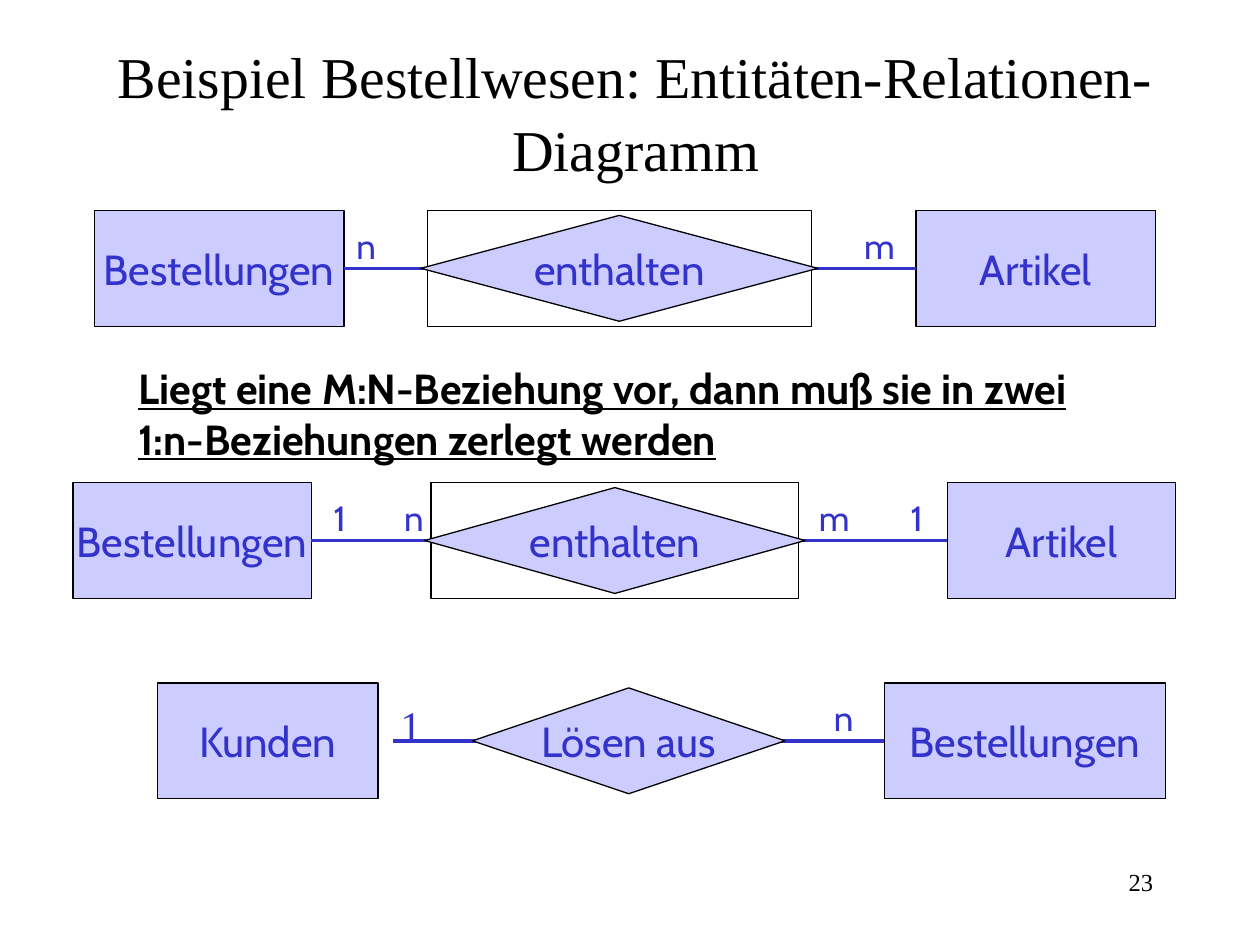
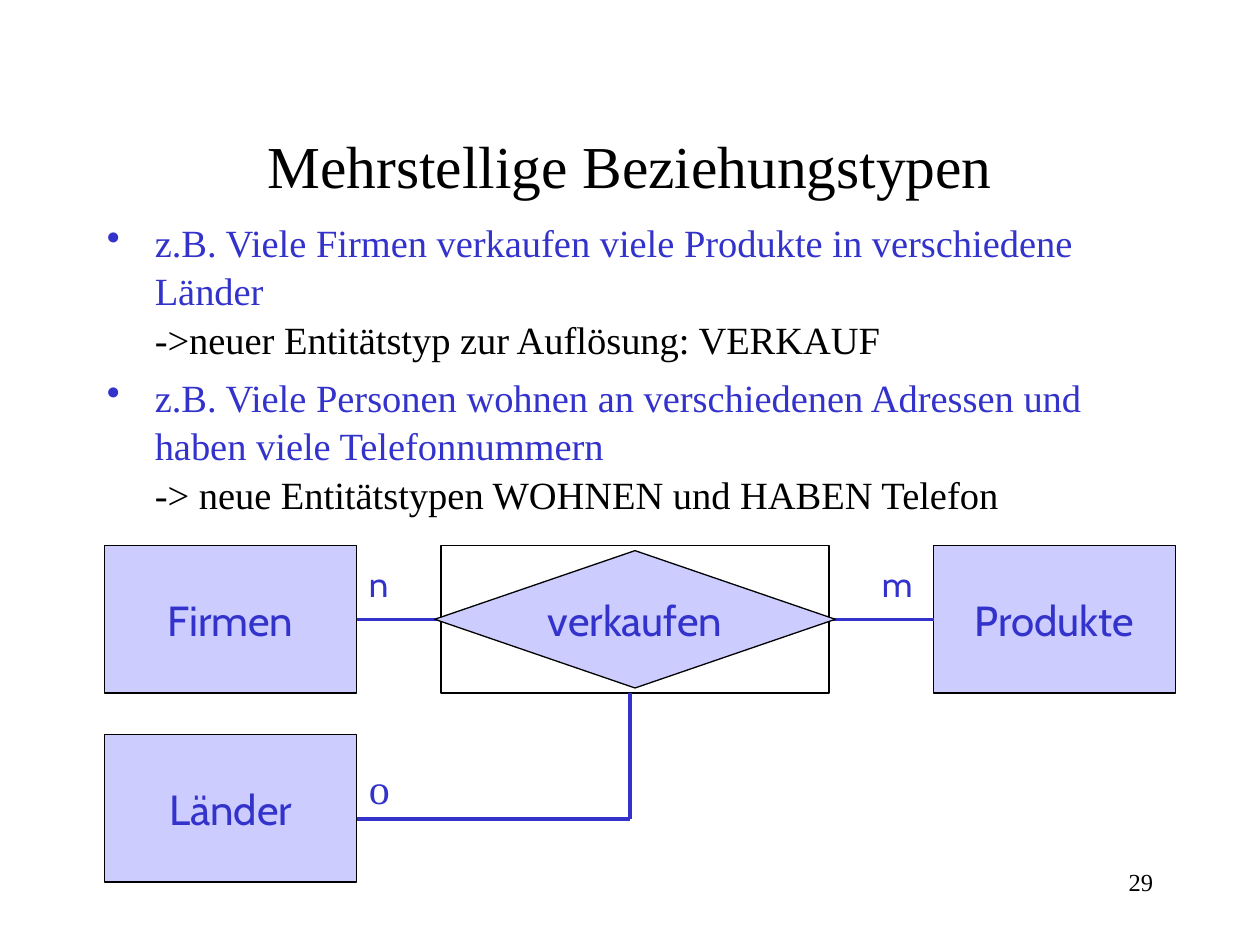
from dataclasses import dataclass

from lxml.etree import SubElement
from pptx import Presentation
from pptx.dml.color import RGBColor
from pptx.enum.shapes import MSO_CONNECTOR as Connector, MSO_SHAPE as Preset
from pptx.enum.text import MSO_ANCHOR as Anchor, PP_ALIGN as Align
from pptx.oxml.ns import qn
from pptx.util import Inches, Pt


@dataclass(frozen=True)
class Theme:
    """Colours, fonts and type sizes shared by the slides."""
    ink: RGBColor = RGBColor(0x00, 0x00, 0x00)
    accent: RGBColor = RGBColor(0x33, 0x33, 0xCC)
    tint: RGBColor = RGBColor(0xCC, 0xCC, 0xFF)
    paper: RGBColor = RGBColor(0xFF, 0xFF, 0xFF)
    serif: str = "Times New Roman"
    sans: str = "Cabin"
    title: int = 34
    label: int = 24
    body: int = 22
    mark: int = 20
    number: int = 14
    leading: float = 1.05
    outline: float = 0.75
    link: float = 2


THEME = Theme()


def write(frame, text, font=THEME.sans, size=THEME.label, color=THEME.accent,
          align=Align.LEFT, anchor=Anchor.TOP, wrap=True, bold=False,
          underline=False, leading=None):
    """Fill a text frame with one formatted paragraph."""
    frame.word_wrap, frame.vertical_anchor = wrap, anchor
    paragraph = frame.paragraphs[0]
    paragraph.alignment, paragraph.line_spacing = align, leading
    run = paragraph.add_run()
    run.text = text
    style = run.font
    style.name, style.size, style.color.rgb = font, Pt(size), color
    style.bold, style.underline = bold, underline


def add_text(shapes, box, text, **style):
    """Place a text box at left, top, width, height."""
    write(shapes.add_textbox(*map(Inches, box)).text_frame, text, **style)


def add_title(slide, box, text, size=THEME.title):
    """Place the centred slide title."""
    add_text(slide.shapes, box, text, font=THEME.serif, size=size,
             color=THEME.ink, align=Align.CENTER, anchor=Anchor.MIDDLE,
             leading=THEME.leading)


def add_number(slide, number):
    """Place the slide number at the lower right."""
    add_text(slide.shapes, (7.17, 6.83, 2.08, 0.5), number, font=THEME.serif,
             size=THEME.number, color=THEME.ink, align=Align.RIGHT)


def add_node(shapes, preset, box, text="", fill=THEME.tint):
    """Draw an outlined diagram node with an optional centred label."""
    node = shapes.add_shape(preset, *map(Inches, box))
    node.shadow.inherit = False
    node.fill.solid()
    node.fill.fore_color.rgb = fill
    node.line.color.rgb, node.line.width = THEME.ink, Pt(THEME.outline)
    if text:
        write(node.text_frame, text, align=Align.CENTER,
              anchor=Anchor.MIDDLE, wrap=False)
    return node


def add_frame(shapes, box):
    """Draw the half-transparent frame behind a relation."""
    frame = add_node(shapes, Preset.RECTANGLE, box, fill=THEME.paper)
    color = frame.fill._xPr.find(qn("a:solidFill"))[0]
    SubElement(color, qn("a:alpha"), val="50000")


def add_link(shapes, start, end):
    """Draw a relation line between two points."""
    link = shapes.add_connector(Connector.STRAIGHT, *map(Inches, start + end))
    link.line.color.rgb, link.line.width = THEME.accent, Pt(THEME.link)
    SubElement(link._element.spPr, qn("a:effectLst"))


def add_mark(shapes, left, top, text, **style):
    """Place a cardinality above a line."""
    add_text(shapes, (left, top, 0.46, 0.44), text,
             **{"size": THEME.mark, **style})


def add_relation(shapes, box, source, target, relation, marks,
                 framed=True, rise=0.4, gap=0):
    """Draw two entities joined by a relation; parts are offset from the box."""
    left, top, width, height = box
    source_name, source_width = source
    target_name, target_width = target
    relation_name, offset, relation_width = relation
    start, end = left + offset, left + offset + relation_width
    target_left, middle = left + width - target_width, top + height / 2
    if framed:
        add_frame(shapes, (start, top, relation_width, height))
    add_node(shapes, Preset.RECTANGLE, (left, top, source_width, height), source_name)
    add_node(shapes, Preset.RECTANGLE, (target_left, top, target_width, height), target_name)
    add_link(shapes, (left + source_width + gap, middle), (start, middle))
    add_link(shapes, (end, middle), (target_left, middle))
    add_node(shapes, Preset.FLOWCHART_DECISION,
             (start - 0.05, top + 0.04, relation_width + 0.1, height - 0.08),
             relation_name)
    for text, mark_offset in marks:
        add_mark(shapes, left + mark_offset, middle - rise, text)


def add_examples(slide, box, examples):
    """Write the bulleted examples, each followed by its resolution."""
    frame = slide.shapes.add_textbox(*map(Inches, box)).text_frame
    frame.word_wrap = True
    for index, (example, resolution) in enumerate(examples):
        paragraph = frame.add_paragraph() if index else frame.paragraphs[0]
        properties = paragraph._p.get_or_add_pPr()
        properties.set("marL", str(Inches(0.38)))
        properties.set("indent", str(Inches(-0.38)))
        bullet_color = SubElement(properties, qn("a:buClr"))
        SubElement(bullet_color, qn("a:srgbClr"), val=str(THEME.accent))
        SubElement(properties, qn("a:buChar"), char="•")
        paragraph.line_spacing = THEME.leading
        if index:
            paragraph.space_before = Pt(5.5)
        paragraph.font.name, paragraph.font.size = THEME.serif, Pt(THEME.body)
        for text, color in ((example, THEME.accent), (resolution, THEME.ink)):
            if text is resolution:
                paragraph.add_line_break()
            run = paragraph.add_run()
            run.text = text
            run.font.name, run.font.size = THEME.serif, Pt(THEME.body)
            run.font.color.rgb = color


def add_countries(shapes, box, corner):
    """Draw the third entity and its angled link up to the relation."""
    left, top, width, height = box
    corner_left, relation_bottom = corner
    line_top = top + 0.67
    add_node(shapes, Preset.RECTANGLE, box, "Länder")
    add_link(shapes, (left + width, line_top), (corner_left, line_top))
    add_link(shapes, (corner_left, relation_bottom), (corner_left, line_top))
    add_mark(shapes, left + width, line_top - 0.5, "o",
             font=THEME.serif, size=THEME.label)


def build_orders(slide):
    """Build the order system diagram."""
    add_title(slide, (0.67, 0.25, 8.75, 1.25),
              "Beispiel Bestellwesen: Entitäten-Relationen-Diagramm", size=33)
    add_relation(slide.shapes.add_group_shape().shapes, (0.75, 1.67, 8.42, 0.92),
                 ("Bestellungen", 1.98), ("Artikel", 1.9),
                 ("enthalten", 2.64, 3.05), (("n", 1.98), ("m", 6.01)))
    add_relation(slide.shapes.add_group_shape().shapes, (0.58, 3.83, 8.75, 0.92),
                 ("Bestellungen", 1.89), ("Artikel", 1.81),
                 ("enthalten", 2.84, 2.92),
                 (("n", 2.53), ("m", 5.82), ("1", 1.97), ("1", 6.55)))
    add_text(slide.shapes, (1, 2.83, 8.08, 0.9),
             "Liegt eine M:N-Beziehung vor, dann muß sie in zwei "
             "1:n-Beziehungen zerlegt werden",
             color=THEME.ink, bold=True, underline=True)
    add_relation(slide.shapes, (1.25, 5.42, 8, 0.92),
                 ("Kunden", 1.75), ("Bestellungen", 2.23),
                 ("Lösen aus", 2.55, 2.38), (("n", 5.27),),
                 framed=False, gap=0.12)
    add_mark(slide.shapes, 3.08, 5.5, "1", font=THEME.serif, size=THEME.label)
    add_number(slide, "23")


def build_multiple(slide):
    """Build the slide on relations of several entities."""
    add_title(slide, (0.75, 0.67, 8.5, 1.25), "Mehrstellige Beziehungstypen")
    add_examples(slide, (0.75, 1.67, 8.25, 2.67), (
        ("z.B. Viele Firmen verkaufen viele Produkte in verschiedene Länder",
         "->neuer Entitätstyp zur Auflösung: VERKAUF"),
        ("z.B. Viele Personen wohnen an verschiedenen Adressen und haben "
         "viele Telefonnummern",
         "-> neue Entitätstypen WOHNEN und HABEN Telefon")))
    sales = slide.shapes.add_group_shape().shapes
    add_relation(sales, (0.83, 4.33, 8.5, 1.17),
                 ("Firmen", 2), ("Produkte", 1.92),
                 ("verkaufen", 2.67, 3.08), (("n", 2), ("m", 6.07)), rise=0.5)
    add_countries(sales, (0.83, 5.83, 2, 1.17), corner=(5, 5.5))
    add_number(slide, "29")


def main():
    """Build and save the presentation."""
    deck = Presentation()
    deck.slide_width, deck.slide_height = Inches(10), Inches(7.5)
    for build in (build_orders, build_multiple):
        build(deck.slides.add_slide(deck.slide_layouts[6]))
    deck.save("out.pptx")


if __name__ == "__main__":
    main()
